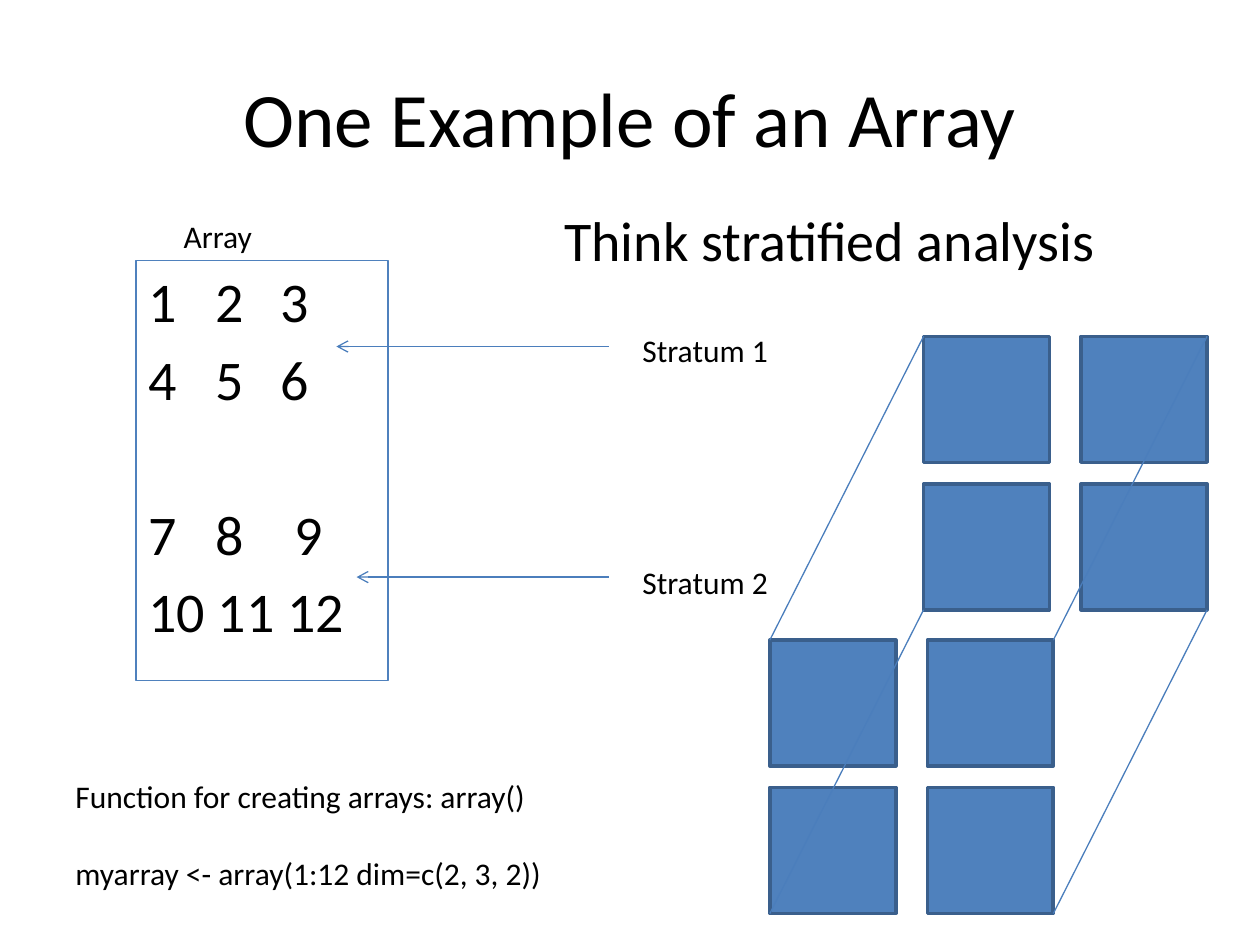
from itertools import product

from lxml.etree import SubElement
from pptx import Presentation
from pptx.dml.color import RGBColor
from pptx.enum.shapes import MSO_CONNECTOR as Connector, MSO_SHAPE as Shape
from pptx.enum.text import MSO_ANCHOR as Anchor, PP_ALIGN as Align
from pptx.oxml.ns import qn
from pptx.util import Inches, Pt

COLORS = {"text": "000000", "square": "4F81BD", "edge": "3A5F8C", "line": "4B7EBC"}
FONT = "Calibri"


class SlideBuilder:
    def __init__(self, presentation):
        self.slide = presentation.slides.add_slide(presentation.slide_layouts[5])
        self.shapes = self.slide.shapes

    def color(self, name):
        return RGBColor.from_string(COLORS[name])

    def place(self, shape, left, top, width, height):
        shape.left, shape.top = Inches(left), Inches(top)
        shape.width, shape.height = Inches(width), Inches(height)

    def format_text(self, paragraph, size):
        for run in paragraph.runs:
            run.font.name = FONT
            run.font.size = Pt(size)
            run.font.color.rgb = self.color("text")

    def title(self, text, box):
        shape = self.shapes.title
        self.place(shape, *box)
        frame = shape.text_frame
        frame.text = text
        frame.vertical_anchor = Anchor.MIDDLE
        frame.paragraphs[0].alignment = Align.CENTER
        self.format_text(frame.paragraphs[0], 44)

    def text(self, lines, box, size=18, gaps=(0,)):
        shape = self.shapes.add_textbox(*map(Inches, box))
        frame = shape.text_frame
        frame.word_wrap = True
        frame.text = "\n".join(lines)
        for paragraph, gap in zip(frame.paragraphs, gaps):
            paragraph.space_before = Pt(gap)
            self.format_text(paragraph, size)
        return shape

    def outline(self, shape, color, width):
        shape.line.color.rgb = self.color(color)
        shape.line.width = Pt(width)

    def tab_stops(self, paragraph, positions):
        stops = SubElement(paragraph._p.get_or_add_pPr(), qn("a:tabLst"))
        for position in positions:
            SubElement(stops, qn("a:tab"), pos=str(Inches(position)), algn="l")

    def square(self, left, top, side=1):
        shape = self.shapes.add_shape(Shape.RECTANGLE, *map(Inches, (left, top, side, side)))
        shape.shadow.inherit = False
        shape.fill.solid()
        shape.fill.fore_color.rgb = self.color("square")
        self.outline(shape, "edge", 2)

    def line(self, start, end, arrow=False):
        connector = self.shapes.add_connector(Connector.STRAIGHT, *map(Inches, (*start, *end)))
        self.outline(connector, "line", 0.75)
        if arrow:
            SubElement(connector.line._get_or_add_ln(), qn("a:tailEnd"), type="arrow")
        SubElement(connector._element.spPr, qn("a:effectLst"))


def main():
    presentation = Presentation()
    presentation.slide_width, presentation.slide_height = Inches(10), Inches(7.5)
    builder = SlideBuilder(presentation)
    builder.title("One Example of an Array", (0.5, 0.3, 9, 1.25))

    rows = ["1\t2\t3", "4\t5\t6", "7\t8\t9", "10 11 12"]
    array = builder.text(rows, (1.08, 2.07, 2, 3.33), 32, (5.7, 5.7, 50.5, 5.7))
    builder.outline(array, "square", 0.75)
    row_stops = [(0.53, 1.05), (0.53, 1.05), (0.53, 1.16)]
    for paragraph, stops in zip(array.text_frame.paragraphs, row_stops):
        builder.tab_stops(paragraph, stops)

    code = ["Function for creating arrays: array()", "myarray <- array(1:12 dim=c(2, 3, 2))"]
    builder.text(code, (0.5, 6.12, 9, 1.01), gaps=(0, 22))
    builder.text(["Think stratified analysis"], (4.38, 1.58, 4.92, 0.67), 32, (5.7,))
    builder.text(["Array"], (1.36, 1.67, 0.83, 0.4))

    strata = [("Stratum 1", 2.58, 2.75, 2.67), ("Stratum 2", 4.42, 4.58, 2.83)]
    for label, top, arrow_y, arrow_end in strata:
        builder.text([label], (5, top, 2.42, 0.4))
        builder.line((4.83, arrow_y), (arrow_end, arrow_y), arrow=True)

    back, front = (7.33, 2.67), (6.11, 5.08)
    column_step, row_step = 1.25, 1.17
    for (left, top), row, column in product((back, front), range(2), range(2)):
        builder.square(left + column * column_step, top + row * row_step)

    width, height = column_step + 1, row_step + 1
    for across, down in product((0, width), (0, height)):
        builder.line((front[0] + across, front[1] + down), (back[0] + across, back[1] + down))

    presentation.save("out.pptx")


if __name__ == "__main__":
    main()
